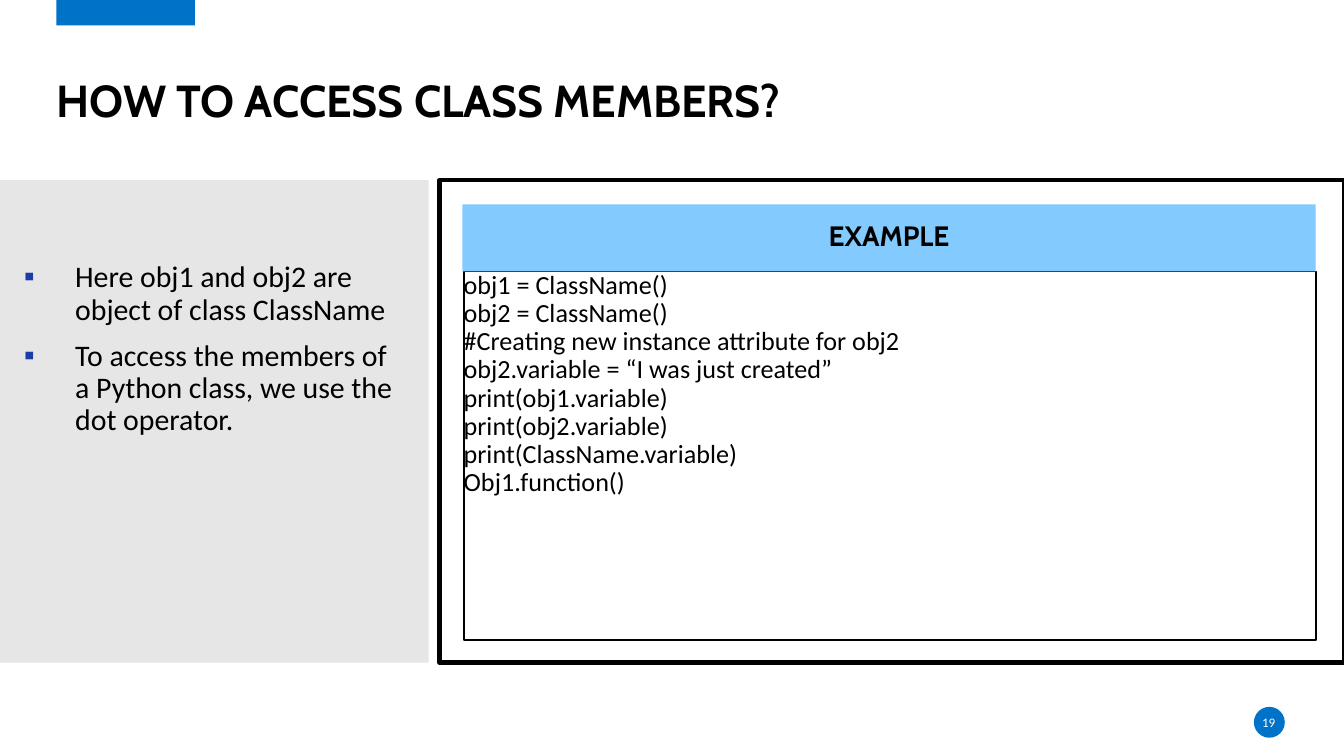
"""Build the slide on how to access the members of a Python class."""
from typing import NamedTuple, Optional

from lxml import etree
from pptx import Presentation
from pptx.dml.color import RGBColor
from pptx.enum.shapes import MSO_SHAPE
from pptx.enum.text import MSO_ANCHOR, MSO_AUTO_SIZE, PP_ALIGN
from pptx.oxml.ns import qn
from pptx.util import Inches, Pt

RECT, OVAL = MSO_SHAPE.RECTANGLE, MSO_SHAPE.OVAL
TOP, MID, LOW = MSO_ANCHOR.TOP, MSO_ANCHOR.MIDDLE, MSO_ANCHOR.BOTTOM
LEFT, MIDST = PP_ALIGN.LEFT, PP_ALIGN.CENTER
FIXED = MSO_AUTO_SIZE.NONE

COLS, ROWS = 100, 56.25
INK = {"black": "000000", "white": "FFFFFF", "gray": "E7E6E6",
       "blue": "0072C7", "sky": "83CAFF", "mark": "1B3DAB"}


class Box(NamedTuple):
    col: float
    row: float
    wide: float
    high: float


class Panel(NamedTuple):
    form: int
    box: Box
    fill: Optional[str] = None
    line: float = 0


class Style(NamedTuple):
    font: str
    size: float
    ink: str = "black"
    bold: bool = False
    align: int = LEFT
    anchor: int = TOP
    space: float = 0
    pitch: float = 0.9
    mark: str = ""


PANELS = [
    Panel(RECT, Box(32.7, 13.4, 67.3, 35.9), line=2.25),
    Panel(RECT, Box(0, 13.4, 31.9, 35.9), "gray"),
    Panel(RECT, Box(4.2, -0.1, 10.3, 2), "blue"),
    Panel(OVAL, Box(93.3, 52.6, 2.3, 2.3), "blue"),
]
TITLE = Style("Cabin", 24, bold=True, anchor=LOW)
LIST = Style("Calibri", 16, space=7.5, mark="▪")
CODE = Style("Calibri", 14)
HEAD = Style("Cabin", 15, bold=True, align=MIDST, anchor=MID, space=7.5)
PAGE = Style("Calibri", 7, "white", align=MIDST, anchor=MID, pitch=1)

POINTS = ["Here obj1 and obj2 are object of class ClassName",
          "To access the members of a Python class, we use the dot operator."]
LINES = ["obj1 = ClassName()", "obj2 = ClassName()",
         "#Creating new instance attribute for obj2",
         "obj2.variable = “I was just created”",
         "print(obj1.variable)", "print(obj2.variable)",
         "print(ClassName.variable)", "Obj1.function()"]


def tint(name: str) -> RGBColor:
    """Return the named colour."""
    return RGBColor.from_string(INK[name])


def place(deck, box: Box) -> list[int]:
    """Turn grid units into left, top, width and height."""
    across, down = deck.slide_width / COLS, deck.slide_height / ROWS
    return [round(n * step) for n, step in zip(box, (across, down) * 2)]


def paint(shape, fill: Optional[str], line: float) -> None:
    """Set the fill and the outline of a shape."""
    if fill:
        shape.fill.solid()
        shape.fill.fore_color.rgb = tint(fill)
    else:
        shape.fill.background()
    if line:
        shape.line.color.rgb = tint("black")
        shape.line.width = Pt(line)
    else:
        shape.line.fill.background()


def draw(deck, slide, panel: Panel) -> None:
    """Draw one plain panel."""
    shape = slide.shapes.add_shape(panel.form, *place(deck, panel.box))
    shape.shadow.inherit = False
    paint(shape, panel.fill, panel.line)


def mark(para, sign: str) -> None:
    """Give a paragraph its bullet and indent, or none."""
    props = para._p.get_or_add_pPr()
    inset = Inches(0.38) if sign else 0
    props.set("marL", str(inset))
    props.set("indent", str(-inset))
    if sign:
        hue = etree.SubElement(props, qn("a:buClr"))
        etree.SubElement(hue, qn("a:srgbClr"), val=INK["mark"])
        etree.SubElement(props, qn("a:buFont"), typeface="Calibri")
        etree.SubElement(props, qn("a:buChar"), char=sign)
    else:
        etree.SubElement(props, qn("a:buNone"))


def write(shape, texts: list[str], style: Style) -> None:
    """Write one paragraph per text in the given style."""
    frame = shape.text_frame
    frame.word_wrap, frame.auto_size = True, FIXED
    frame.vertical_anchor = style.anchor
    frame.margin_left = frame.margin_right = 0
    frame.margin_top = frame.margin_bottom = 0
    for i, text in enumerate(texts):
        para = frame.add_paragraph() if i else frame.paragraphs[0]
        para.alignment, para.line_spacing = style.align, style.pitch
        para.space_before, para.space_after = Pt(style.space), Pt(0)
        mark(para, style.mark)
        run = para.add_run()
        run.text = text
        font = run.font
        font.name, font.size, font.bold = style.font, Pt(style.size), style.bold
        font.color.rgb = tint(style.ink)


def move(deck, shape, box: Box):
    """Move a placeholder to its box."""
    shape.left, shape.top, shape.width, shape.height = place(deck, box)
    return shape


def main() -> None:
    """Build and save the slide."""
    deck = Presentation()
    deck.slide_width = Inches(10)
    deck.slide_height = deck.slide_width * 9 // 16
    slide = deck.slides.add_slide(deck.slide_layouts.get_by_name("Comparison"))
    title, head, points, spare, code = slide.placeholders
    spare.element.getparent().remove(spare.element)
    for panel in PANELS:
        draw(deck, slide, panel)

    write(move(deck, title, Box(4.2, 2, 91.5, 7.5)),
          ["HOW TO ACCESS CLASS MEMBERS?"], TITLE)
    write(move(deck, points, Box(1.8, 19.5, 28.3, 28.4)), POINTS, LIST)
    write(move(deck, code, Box(34.5, 20.2, 63.4, 27.4)), LINES, CODE)
    paint(code, None, 1)
    write(move(deck, head, Box(34.4, 15.2, 63.5, 5)), ["EXAMPLE"], HEAD)
    paint(head, "sky", 0)
    for shape in (title, points, code, head):
        slide.shapes._spTree.append(shape.element)
    page = slide.shapes.add_textbox(*place(deck, Box(93.2, 53, 2.4, 1.5)))
    write(page, ["19"], PAGE)
    deck.save("out.pptx")


if __name__ == "__main__":
    main()
